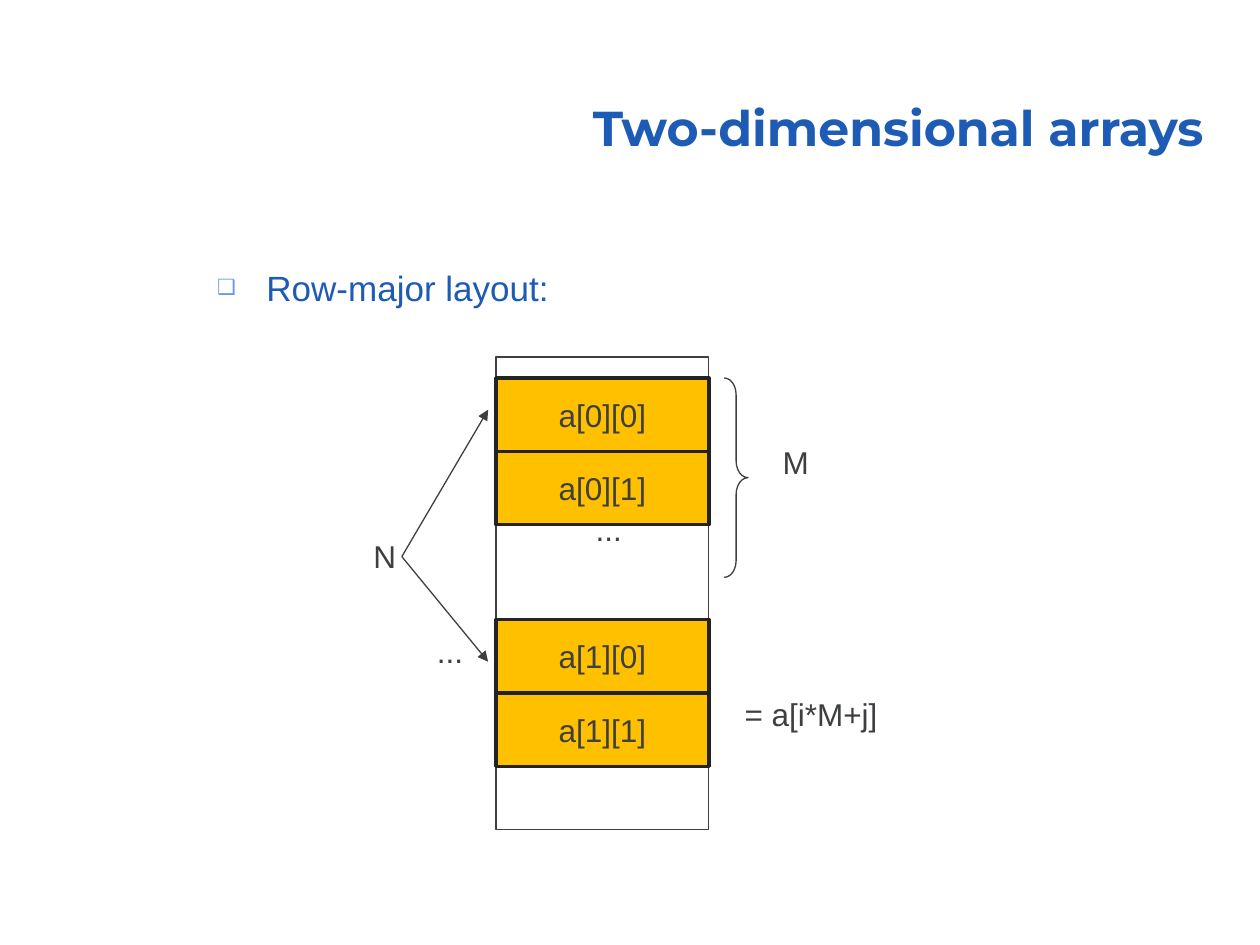
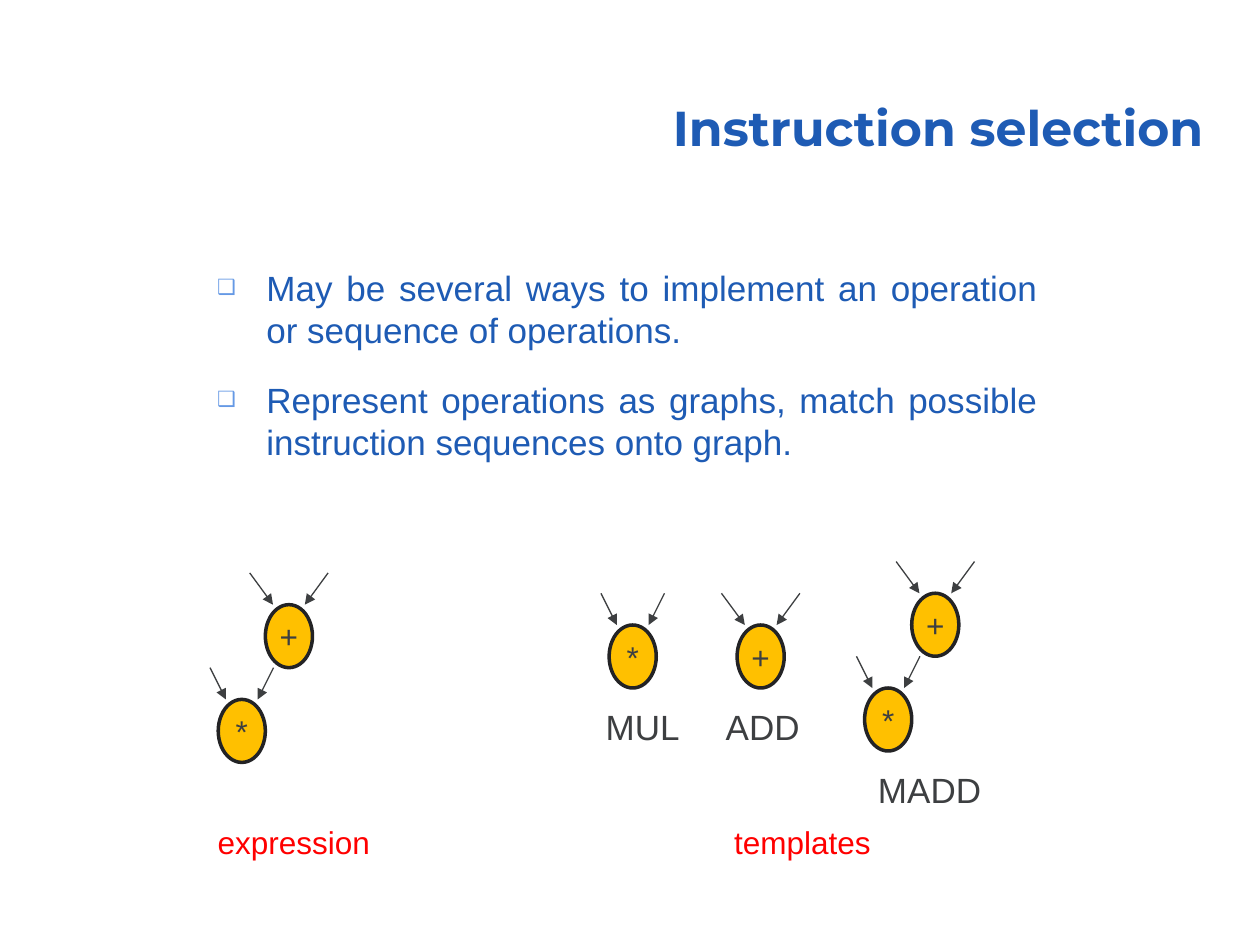
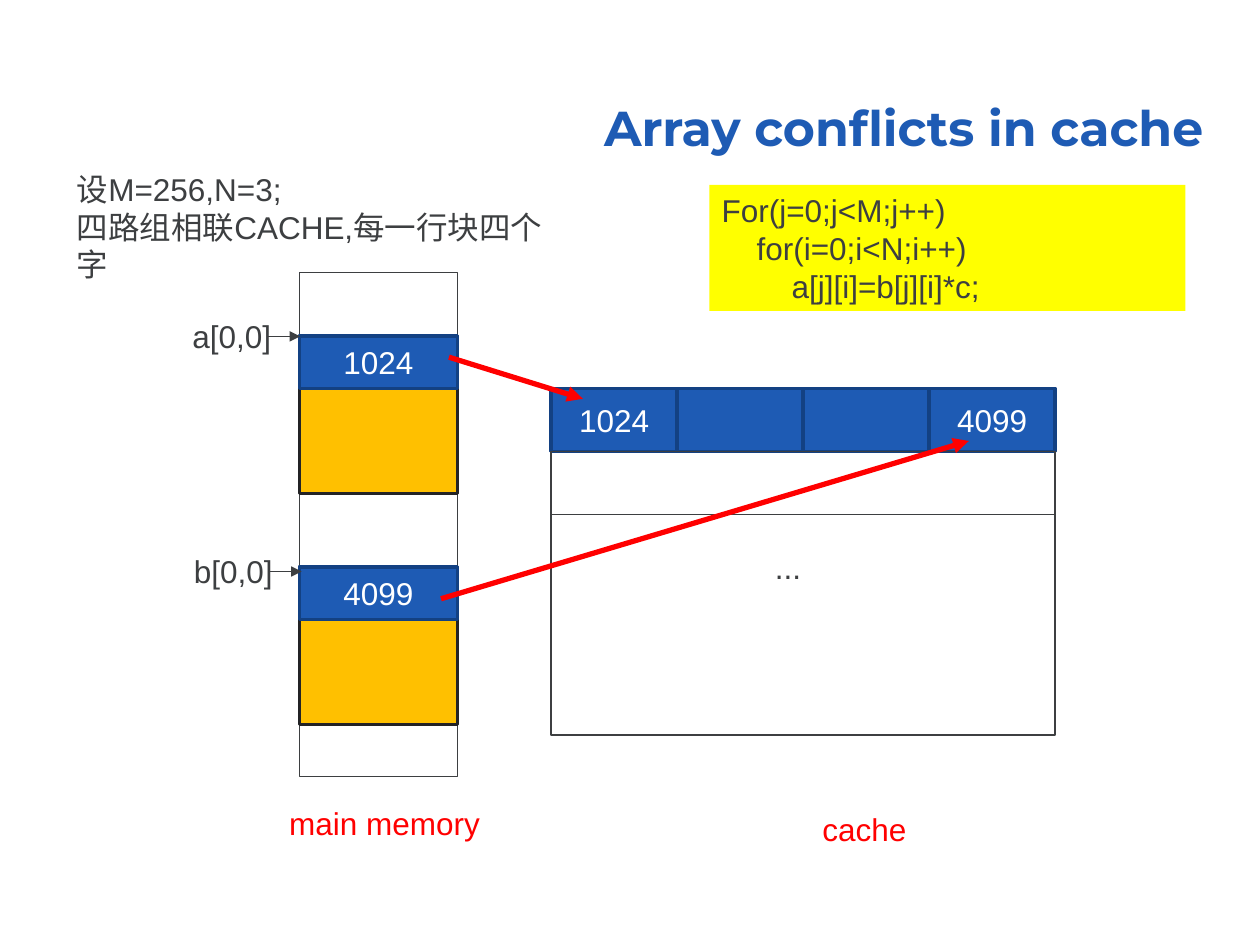
from dataclasses import dataclass
from typing import Any, NamedTuple, Optional

from pptx import Presentation
from pptx.dml.color import RGBColor
from pptx.enum.shapes import MSO_CONNECTOR, MSO_SHAPE
from pptx.enum.text import MSO_ANCHOR, MSO_AUTO_SIZE, PP_ALIGN
from pptx.oxml.ns import qn
from pptx.util import Cm, Pt
from lxml.etree import SubElement

BLUE = RGBColor(0x1E, 0x5B, 0xB4)
DARK_BLUE = RGBColor(0x13, 0x41, 0x83)
LIGHT_BLUE = RGBColor(0x65, 0x99, 0xE5)
GOLD = RGBColor(0xFF, 0xC0, 0x00)
BLACK = RGBColor(0x23, 0x23, 0x25)
GREY = RGBColor(0x3D, 0x3F, 0x41)
RED = RGBColor(0xFF, 0x00, 0x00)
YELLOW = RGBColor(0xFF, 0xFF, 0x00)
WHITE = RGBColor(0xFF, 0xFF, 0xFF)

TITLE_FONT = {"name": "Montserrat", "size": Pt(28), "bold": True}
BODY_FONT = {"name": "Arial", "size": Pt(20)}
LABEL_FONT = {"name": "Arial", "size": Pt(18)}
TITLE_PARA = {"alignment": PP_ALIGN.RIGHT, "line_spacing": 0.9}
CENTRED_PARA = {"alignment": PP_ALIGN.CENTER}
LEFT_PARA = {"alignment": PP_ALIGN.LEFT}
BODY_PARA = {"alignment": PP_ALIGN.JUSTIFY}
LABEL_FRAME = {"word_wrap": False, "auto_size": MSO_AUTO_SIZE.SHAPE_TO_FIT_TEXT}
WRAPPED_FRAME = {"word_wrap": True, "vertical_anchor": MSO_ANCHOR.TOP}
CELL_FRAME = {"word_wrap": False, "vertical_anchor": MSO_ANCHOR.MIDDLE}
TITLE_FRAME = {"word_wrap": True, "vertical_anchor": MSO_ANCHOR.BOTTOM}
LABEL_HEIGHT, LABEL_SLACK = 1.02, 0.2
NODE_WIDTH, NODE_HEIGHT = 0.95, 1.27
ARROW_RISE, TIP_REACH = 0.64, 0.32
TAIL_REACH = {"*": 0.64, "+": 0.79}


class Area(NamedTuple):
    left: float
    top: float
    width: float
    height: float

    def lengths(self) -> list[Cm]:
        return [Cm(value) for value in self]


class Point(NamedTuple):
    x: float
    y: float


@dataclass(frozen=True)
class Style:
    fill: Optional[RGBColor]
    line: Optional[RGBColor]
    weight: float
    ink: RGBColor


@dataclass(frozen=True)
class Label:
    text: str
    left: float
    top: float
    width: float
    colour: RGBColor = GREY


OUTLINE = Style(None, GREY, 0.75, GREY)
ELEMENT = Style(GOLD, BLACK, 2, GREY)
WORD = Style(BLUE, DARK_BLUE, 2, WHITE)
CODE = Style(YELLOW, None, 0, GREY)


def apply(target: Any, values: dict[str, Any]) -> None:
    for name, value in values.items():
        setattr(target, name, value)


def write(box: Any, lines: list[str], font: dict, colour: RGBColor,
          para_format: dict, frame_format: dict) -> list[Any]:
    frame = box.text_frame
    apply(frame, frame_format)
    for number, line in enumerate(lines):
        para = frame.add_paragraph() if number else frame.paragraphs[0]
        apply(para, para_format)
        span = para.add_run()
        span.text = line
        apply(span.font, font)
        span.font.color.rgb = colour
    return list(frame.paragraphs)


def draw_shape(page: Any, kind: MSO_SHAPE, area: Area, style: Style, text: str = "") -> Any:
    shape = page.shapes.add_shape(kind, *area.lengths())
    shape.shadow.inherit = False
    if style.fill is None:
        shape.fill.background()
    else:
        shape.fill.solid()
        shape.fill.fore_color.rgb = style.fill
    if style.line is None:
        shape.line.fill.background()
    else:
        shape.line.color.rgb = style.line
        shape.line.width = Pt(style.weight)
    if text:
        write(shape, [text], LABEL_FONT, style.ink, CENTRED_PARA, CELL_FRAME)
    return shape


def draw_box(page: Any, area: Area, style: Style, text: str = "") -> Any:
    return draw_shape(page, MSO_SHAPE.RECTANGLE, area, style, text)


def draw_arrow(page: Any, start: Point, end: Point,
               colour: RGBColor = GREY, weight: float = 0.75) -> None:
    ends = [Cm(value) for value in (*start, *end)]
    arrow = page.shapes.add_connector(MSO_CONNECTOR.STRAIGHT, *ends)
    arrow.line.color.rgb = colour
    arrow.line.width = Pt(weight)
    properties = arrow._element.spPr
    SubElement(properties.find(qn("a:ln")), qn("a:tailEnd"), type="triangle")
    SubElement(properties, qn("a:effectLst"))


def draw_label(page: Any, label: Label, font: dict = LABEL_FONT,
               height: float = LABEL_HEIGHT) -> None:
    area = Area(label.left, label.top, label.width + LABEL_SLACK, height)
    box = page.shapes.add_textbox(*area.lengths())
    write(box, [label.text], font, label.colour, LEFT_PARA, LABEL_FRAME)


def add_page(deck: Any, title: str) -> Any:
    page = deck.slides.add_slide(deck.slide_layouts[6])
    box = page.shapes.add_textbox(*Area(7.47, 1.33, 17.04, 1.96).lengths())
    write(box, [title], TITLE_FONT, BLUE, TITLE_PARA, TITLE_FRAME)
    return page


def add_bullets(page: Any, lines: list[str], height: float) -> None:
    box = page.shapes.add_textbox(*Area(4.13, 5.25, 17.04, height).lengths())
    paras = write(box, lines, BODY_FONT, BLUE, BODY_PARA, WRAPPED_FRAME)
    for number, para in enumerate(paras):
        properties = para._p.get_or_add_pPr()
        properties.set("marL", str(Cm(0.99)))
        properties.set("indent", str(-Cm(0.99)))
        SubElement(SubElement(properties, qn("a:buClr")), qn("a:srgbClr"), val=str(LIGHT_BLUE))
        SubElement(properties, qn("a:buSzPct"), val="60000")
        SubElement(properties, qn("a:buFont"), typeface="Arial")
        SubElement(properties, qn("a:buChar"), char="❑")
        if number:
            para.space_before = Pt(16)


def draw_node(page: Any, symbol: str, left: float, top: float) -> None:
    draw_shape(page, MSO_SHAPE.OVAL, Area(left, top, NODE_WIDTH, NODE_HEIGHT), ELEMENT, symbol)
    middle = left + NODE_WIDTH / 2
    for side in (-1, 1):
        start = Point(middle + side * TAIL_REACH[symbol], top - ARROW_RISE)
        draw_arrow(page, start, Point(middle + side * TIP_REACH, top))


def draw_multiply_add(page: Any, left: float, top: float) -> None:
    draw_node(page, "+", left, top)
    draw_node(page, "*", left - NODE_WIDTH, top + NODE_HEIGHT + ARROW_RISE)


def build_arrays(deck: Any) -> None:
    page = add_page(deck, "Two-dimensional arrays")
    add_bullets(page, ["Row-major layout:"], 2.16)
    left, width, height = 10.0, 4.29, 1.48
    draw_box(page, Area(left, 7.2, width, 9.52), OUTLINE)
    for row, top in enumerate((7.62, 12.49)):
        for column in range(2):
            area = Area(left, top + column * height, width, height)
            draw_box(page, area, ELEMENT, f"a[{row}][{column}]")
    brace = draw_shape(page, MSO_SHAPE.RIGHT_BRACE, Area(14.6, 7.62, 0.48, 4.02), OUTLINE)
    brace.adjustments[0] = 0.7
    for tip in (8.26, 13.34):
        draw_arrow(page, Point(8.1, 11.22), Point(9.84, tip))
    for label in (
        Label("= a[i*M+j]", 14.76, 13.88, 3.18),
        Label("...", 11.76, 10.16, 1.04),
        Label("M", 15.53, 8.8, 1.04),
        Label("...", 8.56, 12.62, 1.04),
        Label("N", 7.28, 10.7, 0.97),
    ):
        draw_label(page, label)


def build_selection(deck: Any) -> None:
    page = add_page(deck, "Instruction selection")
    add_bullets(page, [
        "May be several ways to implement an operation or sequence of operations.",
        "Represent operations as graphs, match possible instruction sequences onto graph.",
    ], 7.47)
    draw_multiply_add(page, 5.35, 12.19)
    draw_node(page, "*", 12.28, 12.6)
    draw_node(page, "+", 14.86, 12.6)
    draw_multiply_add(page, 18.38, 11.96)
    for label in (
        Label("expression", 4.14, 16.46, 3.58, RED),
        Label("templates", 14.55, 16.46, 3.25, RED),
    ):
        draw_label(page, label)
    for label in (
        Label("MUL", 11.96, 14.1, 2.01),
        Label("ADD", 14.38, 14.1, 2.01),
        Label("MADD", 17.45, 15.37, 2.59),
    ):
        draw_label(page, label, BODY_FONT, 1.12)


def build_conflicts(deck: Any) -> None:
    page = add_page(deck, "Array conflicts in cache")
    memory = Area(6.04, 5.5, 3.18, 10.16)
    draw_box(page, memory, OUTLINE)
    for top, address in ((6.77, "1024"), (11.43, "4099")):
        draw_box(page, Area(memory.left, top, memory.width, 3.18), ELEMENT)
        draw_box(page, Area(memory.left, top, memory.width, 1.06), WORD, address)
    for pointer in (Label("a[0,0]", 3.63, 6.26, 2.08), Label("b[0,0]", 3.66, 11.0, 2.08)):
        draw_label(page, pointer)
        start = Point(pointer.left + 1.78, pointer.top + 0.52)
        draw_arrow(page, start, Point(start.x + 0.64, start.y))

    cache = Area(11.11, 7.83, 10.16, 6.99)
    way_width, way_height = cache.width / 4, 1.27
    draw_box(page, cache, OUTLINE)
    for way, address in enumerate(("1024", "", "", "4099")):
        area = Area(cache.left + way * way_width, cache.top, way_width, way_height)
        draw_box(page, area, WORD, address)
    draw_box(page, Area(cache.left, cache.top + way_height, cache.width, way_height), OUTLINE)
    for label in (
        Label("...", 15.37, 10.92, 1.04),
        Label("main memory", 5.58, 16.08, 4.34, RED),
        Label("cache", 16.33, 16.21, 2.18, RED),
    ):
        draw_label(page, label)
    for start, end in (
        (Point(9.05, 7.2), Point(11.75, 8.04)),
        (Point(8.89, 12.07), Point(19.53, 8.89)),
    ):
        draw_arrow(page, start, end, RED, 3)

    code = draw_box(page, Area(14.3, 3.73, 9.6, 2.54), CODE)
    note = page.shapes.add_textbox(*Area(1.3, 3.3, 10.21, 2.54).lengths())
    for box, lines in (
        (code, ["For(j=0;j<M;j++)", "    for(i=0;i<N;i++)", "        a[j][i]=b[j][i]*c;"]),
        (note, ["设M=256,N=3;", "四路组相联CACHE,每一行块四个字"]),
    ):
        write(box, lines, LABEL_FONT, GREY, LEFT_PARA, WRAPPED_FRAME)


def main() -> None:
    deck = Presentation()
    apply(deck, {"slide_width": Cm(25.4), "slide_height": Cm(19.05)})
    for build in (build_arrays, build_selection, build_conflicts):
        build(deck)
    deck.save("out.pptx")


if __name__ == "__main__":
    main()
